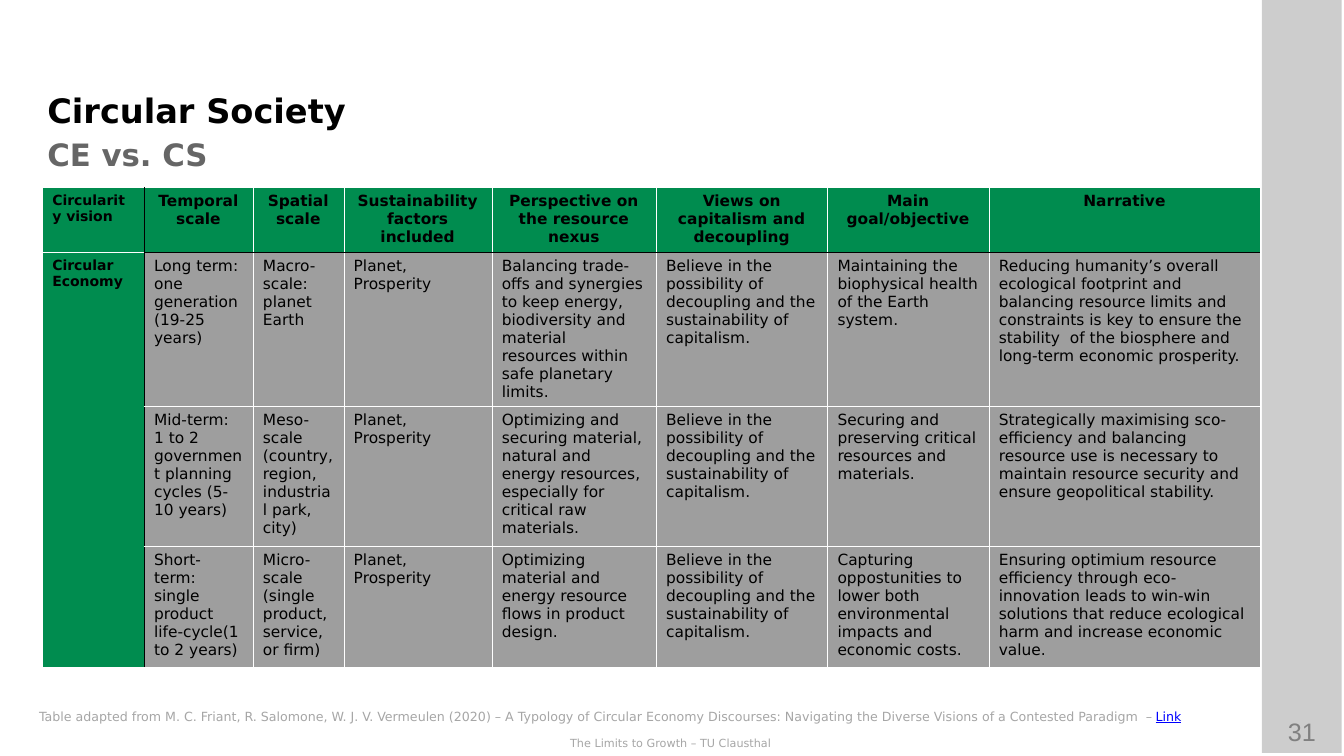
from dataclasses import dataclass

from lxml import etree
from pptx import Presentation
from pptx.dml.color import RGBColor
from pptx.enum.shapes import MSO_SHAPE
from pptx.enum.text import MSO_ANCHOR, MSO_AUTO_SIZE, PP_ALIGN
from pptx.oxml.ns import qn
from pptx.slide import Slide
from pptx.table import _Cell
from pptx.text.text import TextFrame
from pptx.util import Pt

RECTANGLE = MSO_SHAPE.RECTANGLE
LEFT, CENTER = PP_ALIGN.LEFT, PP_ALIGN.CENTER
TOP, MIDDLE = MSO_ANCHOR.TOP, MSO_ANCHOR.MIDDLE
FIXED_SIZE = MSO_AUTO_SIZE.NONE

BLACK = RGBColor(0x00, 0x00, 0x00)
WHITE = RGBColor(0xFF, 0xFF, 0xFF)
GREEN = RGBColor(0x00, 0x8C, 0x4F)
CELL_GRAY = RGBColor(0x9E, 0x9E, 0x9E)
SUBTITLE_GRAY = RGBColor(0x66, 0x66, 0x66)
NUMBER_GRAY = RGBColor(0x80, 0x80, 0x80)
NOTE_GRAY = RGBColor(0xA6, 0xA6, 0xA6)
LINK_BLUE = RGBColor(0x00, 0x00, 0xFF)

BODY_FONT = "DejaVu Sans"
COLUMN_WIDTHS = (72.7, 77.8, 64.8, 105.8, 117.4, 122.4, 115.2, 194)
ROW_HEIGHTS = (46.8, 99.5, 99.5, 86.4)
FACTORS = "Planet, Prosperity"
VIEWS = "Believe in the possibility of decoupling and the sustainability of capitalism."
TABLE_ROWS = (
    ("Circularity vision", "Temporal scale", "Spatial scale",
     "Sustainability factors included", "Perspective on the resource nexus",
     "Views on capitalism and decoupling", "Main goal/objective", "Narrative"),
    ("Circular Economy", "Long term: one generation (19-25 years)",
     "Macro-scale: planet Earth", FACTORS,
     "Balancing trade-offs and synergies to keep energy, biodiversity and material "
     "resources within safe planetary limits.", VIEWS,
     "Maintaining the biophysical health of the Earth system.",
     "Reducing humanity’s overall ecological footprint and balancing resource limits "
     "and constraints is key to ensure the stability  of the biosphere and long-term "
     "economic prosperity."),
    ("", "Mid-term: 1 to 2 government planning cycles (5-10 years)",
     "Meso-scale (country, region, industrial park, city)", FACTORS,
     "Optimizing and securing material, natural and energy resources, especially for "
     "critical raw materials.", VIEWS,
     "Securing and preserving critical resources and materials.",
     "Strategically maximising sco-efficiency and balancing resource use is necessary "
     "to maintain resource security and ensure geopolitical stability."),
    ("", "Short-term: single product life-cycle(1 to 2 years)",
     "Micro-scale (single product, service, or firm)", FACTORS,
     "Optimizing material and energy resource flows in product design.", VIEWS,
     "Capturing oppostunities to lower both environmental impacts and economic costs.",
     "Ensuring optimium resource efficiency through eco-innovation leads to win-win "
     "solutions that reduce ecological harm and increase economic value."),
)


@dataclass(frozen=True)
class TextStyle:
    size: float
    color: RGBColor
    bold: bool = False
    align: PP_ALIGN = LEFT
    font: str = BODY_FONT


@dataclass(frozen=True)
class Label:
    text: str
    left: float
    top: float
    width: float
    height: float
    style: TextStyle
    anchor: MSO_ANCHOR = TOP
    inset: bool = True
    link: str = ""


TITLE = Label("Circular Society", 26.6, 60.5, 845.3, 38.2, TextStyle(24, BLACK, True))
LABELS = (
    Label("31", 900.7, 508.3, 58.3, 28.8, TextStyle(18, NUMBER_GRAY, align=CENTER, font="Arial")),
    Label("The Limits to Growth – TU Clausthal", 0, 522.7, 958.3, 16.6,
          TextStyle(8, NOTE_GRAY, align=CENTER)),
    Label("CE vs. CS", 33.8, 90.7, 814.3, 38.2, TextStyle(22, SUBTITLE_GRAY, True), MIDDLE, False),
    Label("Table adapted from M. C. Friant, R. Salomone, W. J. V. Vermeulen (2020) – "
          "A Typology of Circular Economy Discourses: Navigating the Diverse Visions of a "
          "Contested Paradigm  – ", 20.9, 502.6, 849.6, 18, TextStyle(9, NOTE_GRAY), link="Link"),
)


def write_text(frame: TextFrame, text: str, style: TextStyle) -> None:
    frame.text = text
    paragraph = frame.paragraphs[0]
    paragraph.alignment = style.align
    font = paragraph.font
    font.name, font.size, font.bold = style.font, Pt(style.size), style.bold
    font.color.rgb = style.color


def fill_label(shape, label: Label) -> None:
    shape.left, shape.top = Pt(label.left), Pt(label.top)
    shape.width, shape.height = Pt(label.width), Pt(label.height)
    frame = shape.text_frame
    frame.word_wrap = True
    frame.auto_size = FIXED_SIZE
    frame.vertical_anchor = label.anchor
    if not label.inset:
        frame.margin_left = frame.margin_right = frame.margin_top = frame.margin_bottom = 0
    write_text(frame, label.text, label.style)
    if label.link:
        run = frame.paragraphs[0].add_run()
        run.text = label.link
        run.font.underline = True
        run.font.color.rgb = LINK_BLUE


def add_side_bars(slide: Slide) -> None:
    """Two stacked translucent bars give the darker gray margin."""
    for _ in range(2):
        bar = slide.shapes.add_shape(RECTANGLE, Pt(901.4), 0, Pt(56.9), Pt(537.8))
        bar.shadow.inherit = False
        bar.line.fill.background()
        bar.fill.solid()
        bar.fill.fore_color.rgb = BLACK
        color = bar.fill._xPr.find(".//" + qn("a:srgbClr"))
        etree.SubElement(color, qn("a:alpha"), val="10000")


def add_border(cell: _Cell, side: str, color: RGBColor, width: float) -> None:
    line = etree.SubElement(cell._tc.get_or_add_tcPr(), qn(f"a:ln{side}"), w=str(Pt(width)))
    fill = etree.SubElement(line, qn("a:solidFill"))
    etree.SubElement(fill, qn("a:srgbClr"), val=str(color))


def format_cell(cell: _Cell, row: int, column: int) -> None:
    borders = {side: (WHITE, 0.06) for side in "LRTB"}
    if column < 2:
        borders["R" if column == 0 else "L"] = (BLACK, 0.75)
    if column > 0 and row < 2:
        borders["B" if row == 0 else "T"] = (BLACK, 1.5)
    for side, (color, width) in borders.items():
        add_border(cell, side, color, width)
    is_heading = row == 0 or column == 0
    cell.fill.solid()
    cell.fill.fore_color.rgb = GREEN if is_heading else CELL_GRAY
    style = TextStyle(10 if column == 0 else 11, BLACK, is_heading,
                      CENTER if row == 0 and column > 0 else LEFT)
    write_text(cell.text_frame, TABLE_ROWS[row][column], style)


def add_vision_table(slide: Slide) -> None:
    frame = slide.shapes.add_table(len(ROW_HEIGHTS), len(COLUMN_WIDTHS), Pt(30.2), Pt(133.6),
                                   Pt(sum(COLUMN_WIDTHS)), Pt(sum(ROW_HEIGHTS)))
    table = frame.table
    table.first_row = table.horz_banding = False
    for column, width in zip(table.columns, COLUMN_WIDTHS):
        column.width = Pt(width)
    for row, height in zip(table.rows, ROW_HEIGHTS):
        row.height = Pt(height)
    for row in range(len(ROW_HEIGHTS)):
        for column in range(len(COLUMN_WIDTHS)):
            format_cell(table.cell(row, column), row, column)
    table.cell(1, 0).merge(table.cell(3, 0))


def main() -> None:
    presentation = Presentation()
    presentation.slide_width, presentation.slide_height = Pt(960), Pt(540)
    slide = presentation.slides.add_slide(presentation.slide_layouts[5])
    add_side_bars(slide)
    fill_label(slide.shapes.title, TITLE)
    for label in LABELS:
        box = slide.shapes.add_textbox(0, 0, 0, 0)
        fill_label(box, label)
    add_vision_table(slide)
    presentation.save("out.pptx")


if __name__ == "__main__":
    main()
